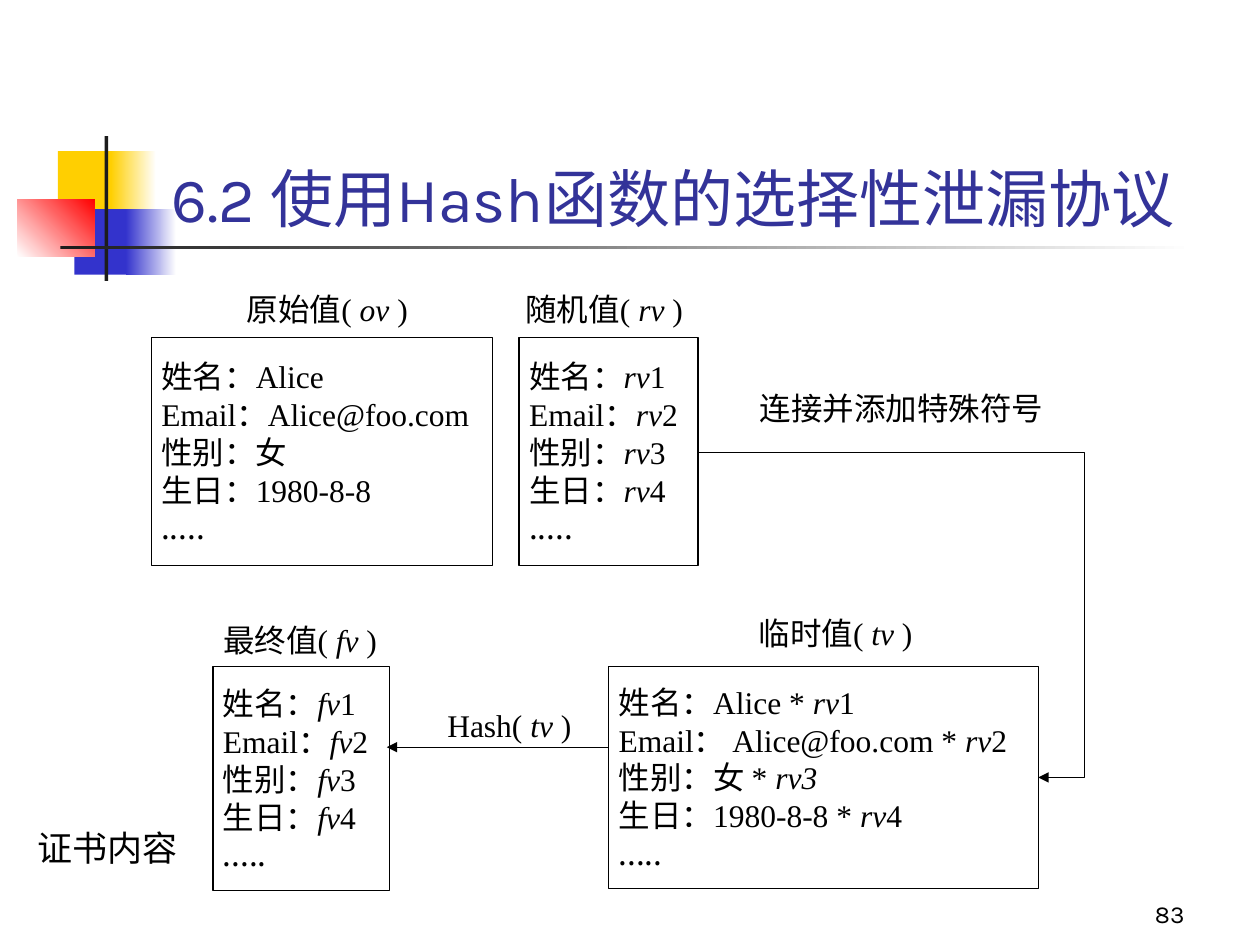
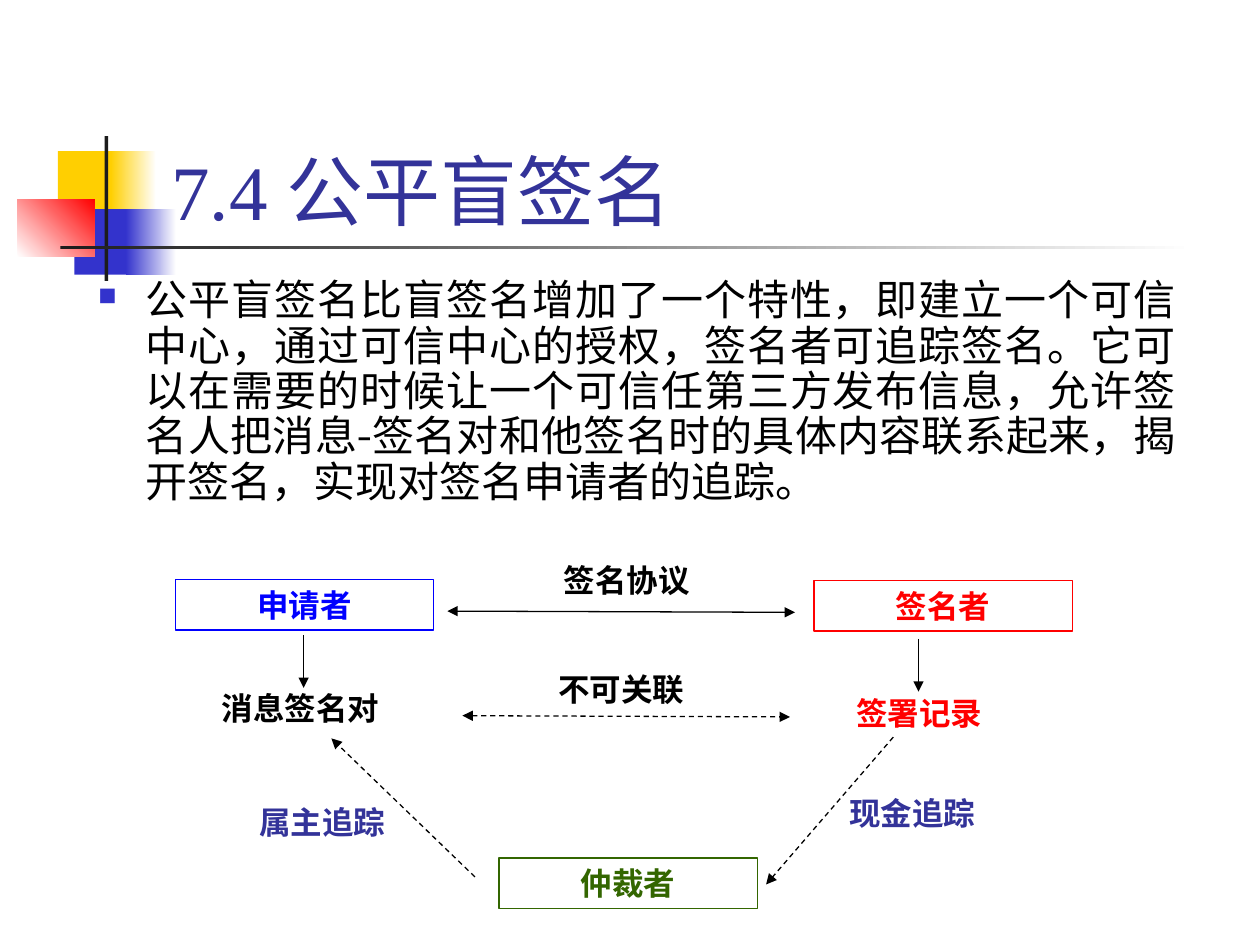
from dataclasses import dataclass

from lxml import etree
from pptx import Presentation
from pptx import util as u
from pptx.dml.color import RGBColor
from pptx.enum import dml, shapes, text
from pptx.oxml import ns


@dataclass(frozen=True)
class Theme:
    black: str = "000000"
    white: str = "FFFFFF"
    ink: str = "1C1C1C"
    title: str = "333399"
    yellow: str = "FFCF01"
    blue: str = "3333CC"
    red: str = "FF0000"
    applicant: str = "0000FF"
    arbiter: str = "336600"
    sans: str = "Karla"
    serif: str = "Times New Roman"
    plain: str = "Arial"
    chinese: str = "Noto Sans CJK SC"
    label_size: int = 18
    line_width: float = 0.75


THEME = Theme()
LEFT, CENTER, RIGHT, JUSTIFY = (
    text.PP_ALIGN.LEFT, text.PP_ALIGN.CENTER, text.PP_ALIGN.RIGHT, text.PP_ALIGN.JUSTIFY)
TOP, MIDDLE, BOTTOM = text.MSO_ANCHOR.TOP, text.MSO_ANCHOR.MIDDLE, text.MSO_ANCHOR.BOTTOM
TIGHT, NORMAL, NONE = (0.08, 0.04), (0.1, 0.05), (0, 0)
DOTS = "....."


def inches(*lengths):
    return [u.Inches(length) for length in lengths]


def add_xml(parent, tag, **attributes):
    names = {name: str(value) for name, value in attributes.items()}
    return etree.SubElement(parent, ns.qn(tag), names)


def write_text(shape, lines, *, font=THEME.serif, size=THEME.label_size, color=THEME.black,
               bold=False, align=LEFT, anchor=TOP, insets=TIGHT, wrap=False):
    """Fill a shape with a list of lines; underscores enclose italic parts."""
    frame = shape.text_frame
    frame.auto_size = text.MSO_AUTO_SIZE.NONE
    frame.word_wrap = wrap
    frame.vertical_anchor = anchor
    frame.margin_left = frame.margin_right = u.Inches(insets[0])
    frame.margin_top = frame.margin_bottom = u.Inches(insets[1])
    for index, line in enumerate(lines):
        paragraph = frame.add_paragraph() if index else frame.paragraphs[0]
        paragraph.alignment = align
        for part_index, part in enumerate(line.split("_")):
            if not part:
                continue
            run = paragraph.add_run()
            run.text = part
            run.font.size = u.Pt(size)
            run.font.bold = bold
            run.font.italic = part_index % 2 == 1
            run.font.color.rgb = RGBColor.from_string(color)
            run.font.name = THEME.chinese if line == DOTS else font
            add_xml(run._r.get_or_add_rPr(), "a:ea", typeface=THEME.chinese)


def add_label(slide, place, line, **style):
    label = slide.shapes.add_textbox(*inches(*place))
    write_text(label, [line], **style)
    return label


def add_rectangle(slide, place, fill=None, line=None):
    rectangle = slide.shapes.add_shape(shapes.MSO_SHAPE.RECTANGLE, *inches(*place))
    rectangle.shadow.inherit = False
    if fill:
        rectangle.fill.solid()
        rectangle.fill.fore_color.rgb = RGBColor.from_string(fill)
    else:
        rectangle.fill.background()
    if line:
        rectangle.line.color.rgb = RGBColor.from_string(line)
        rectangle.line.width = u.Pt(THEME.line_width)
    else:
        rectangle.line.fill.background()
    return rectangle


def add_fade(slide, place, start, end, angle=0):
    rectangle = add_rectangle(slide, place)
    rectangle.fill.gradient()
    rectangle.fill.gradient_angle = angle
    for stop, color in zip(rectangle.fill.gradient_stops, (start, end)):
        stop.color.rgb = RGBColor.from_string(color)
    return rectangle


def add_record(slide, place, lines):
    record = add_rectangle(slide, place, THEME.white, THEME.black)
    write_text(record, lines + [DOTS], anchor=MIDDLE)


def add_role(slide, place, name, color):
    role = add_rectangle(slide, place, line=color)
    write_text(role, [name], color=color, bold=True, align=CENTER, insets=NORMAL, wrap=True)


def add_arrow(slide, start, end, *, both=False, dashed=False, bend=None):
    """Draw an arrow; bend is the turning point as a share of the width."""
    kind = shapes.MSO_CONNECTOR.STRAIGHT if bend is None else shapes.MSO_CONNECTOR.ELBOW
    arrow = slide.shapes.add_connector(kind, *inches(*start, *end))
    arrow.line.color.rgb = RGBColor.from_string(THEME.black)
    arrow.line.width = u.Pt(THEME.line_width)
    if dashed:
        arrow.line.dash_style = dml.MSO_LINE.DASH
    properties = arrow.element.spPr
    outline = properties.find(ns.qn("a:ln"))
    if both:
        add_xml(outline, "a:headEnd", type="triangle")
    add_xml(outline, "a:tailEnd", type="triangle")
    add_xml(properties, "a:effectLst")
    if bend is not None:
        guides = properties.find(ns.qn("a:prstGeom")).find(ns.qn("a:avLst"))
        add_xml(guides, "a:gd", name="adj1", fmla=f"val {round(bend * 100000)}")


def decorate_layout(layout, slide):
    """Draw the shared ornament on a slide, then move it to the layout."""
    ornament = [
        add_rectangle(slide, (0.46, 1.2, 0.48, 0.52), THEME.yellow),
        add_fade(slide, (0.88, 1.2, 0.36, 0.52), THEME.yellow, THEME.white),
        add_rectangle(slide, (0.59, 1.66, 0.46, 0.52), THEME.blue),
        add_fade(slide, (1, 1.66, 0.4, 0.52), THEME.blue, THEME.white),
        add_fade(slide, (0.14, 1.58, 0.61, 0.46), THEME.white, THEME.red, angle=45),
        add_rectangle(slide, (0.83, 1.08, 0.03, 1.15), THEME.ink),
        add_fade(slide, (0.48, 1.95, 9, 0.03), THEME.ink, THEME.white),
    ]
    for number, shape in enumerate(ornament, start=101):
        shape.element.xpath(".//p:cNvPr")[0].set("id", str(number))
        layout.shapes.element.append(shape.element)


def set_title(slide, line, **style):
    title = slide.shapes.title
    title.left, title.top, title.width, title.height = inches(1.26, 0.67, 8.52, 1.25)
    write_text(title, [line], color=THEME.title, anchor=BOTTOM, insets=NORMAL, wrap=True, **style)


def add_bullet_text(slide, place, line):
    box = slide.shapes.add_textbox(*inches(*place))
    paragraph = box.text_frame.paragraphs[0]
    properties = paragraph._p.get_or_add_pPr()
    indent = u.Inches(0.38)
    properties.set("marL", str(indent))
    properties.set("indent", str(-indent))
    add_xml(add_xml(properties, "a:buClr"), "a:srgbClr", val=THEME.blue)
    add_xml(properties, "a:buSzPct", val=60000)
    add_xml(properties, "a:buChar", char="■")
    paragraph.line_spacing = 0.9
    write_text(box, [line], font=THEME.sans, size=24, align=JUSTIFY, insets=NORMAL, wrap=True)


def build_disclosure_slide(slide):
    set_title(slide, "6.2 使用Hash函数的选择性泄漏协议", font=THEME.sans, size=36)
    add_label(slide, (7.42, 6.92, 2.08, 0.5), "83", font=THEME.sans, size=14,
              align=RIGHT, anchor=BOTTOM, insets=NORMAL, wrap=True)

    fields = ["姓名：", "Email：", "性别：", "生日："]
    originals = ["Alice", "Alice@foo.com", "女", "1980-8-8"]

    def numbered(symbol):
        return [f"{field}_{symbol}_{number}" for number, field in enumerate(fields, start=1)]

    add_record(slide, (1.2, 2.68, 2.71, 1.81),
               [field + value for field, value in zip(fields, originals)])
    add_record(slide, (4.12, 2.68, 1.42, 1.81), numbered("rv"))
    add_record(slide, (4.83, 5.29, 3.41, 1.76), [
        "姓名：Alice * _rv_1",
        "Email： Alice@foo.com * _rv_2",
        "性别：女 * _rv3_",
        "生日：1980-8-8 * _rv_4",
    ])
    add_record(slide, (1.69, 5.29, 1.4, 1.78), numbered("fv"))

    for place, line in [
        ((1.88, 2.26, 1.5, 0.48), "原始值( _ov _)"),
        ((4.09, 2.26, 1.48, 0.48), "随机值( _rv_ )"),
        ((5.94, 4.83, 1.45, 0.41), "临时值( _tv _)"),
        ((1.69, 4.89, 1.45, 0.35), "最终值( _fv_ )"),
        ((3.47, 5.56, 1.22, 0.4), "Hash( _tv _)"),
    ]:
        add_label(slide, place, line)
    add_label(slide, (5.95, 3.05, 2.42, 0.38), "连接并添加特殊符号", font=THEME.plain)
    add_label(slide, (0.2, 6.51, 1.31, 0.44), "证书内容", font=THEME.sans, size=20, insets=NORMAL)

    add_arrow(slide, (5.55, 3.59), (8.24, 6.17), bend=1.137)
    add_arrow(slide, (4.83, 5.93), (3.07, 5.93))


def build_blind_signature_slide(slide):
    set_title(slide, "7.4 公平盲签名", size=44)
    add_bullet_text(slide, (0.68, 2.17, 8.75, 2.32), (
        "公平盲签名比盲签名增加了一个特性，即建立一个可信中心，通过可信中心的授权，"
        "签名者可追踪签名。它可以在需要的时候让一个可信任第三方发布信息，"
        "允许签名人把消息-签名对和他签名时的具体内容联系起来，揭开签名，"
        "实现对签名申请者的追踪。"))

    for left, top, name, color in [
        (1.39, 4.6, "申请者", THEME.applicant),
        (3.96, 6.81, "仲裁者", THEME.arbiter),
        (6.46, 4.61, "签名者", THEME.red),
    ]:
        add_role(slide, (left, top, 2.05, 0.4), name, color)

    for place, line, font, color in [
        ((0.68, 5.42, 3.47, 0.4), "消息签名对 ", THEME.sans, THEME.black),
        ((5.56, 5.46, 3.47, 0.4), "签署记录", THEME.serif, THEME.red),
        ((3.83, 5.27, 2.2, 0.4), "不可关联", THEME.serif, THEME.black),
        ((3.87, 4.4, 2.21, 0.4), "签名协议", THEME.serif, THEME.black),
    ]:
        add_label(slide, place, line, font=font, color=color, bold=True,
                  align=CENTER, insets=NORMAL, wrap=True)
    for place, line in [
        ((2.06, 6.37, 2.74, 0.6), "属主追踪"),
        ((6.74, 6.3, 3.14, 0.3), "现金追踪"),
    ]:
        add_label(slide, place, line, font=THEME.plain, color=THEME.title, bold=True,
                  insets=NONE, wrap=True)

    add_arrow(slide, (3.55, 4.85), (6.31, 4.86), both=True)
    add_arrow(slide, (3.67, 5.68), (6.27, 5.69), both=True, dashed=True)
    add_arrow(slide, (2.41, 5.04), (2.41, 5.46))
    add_arrow(slide, (7.29, 5.07), (7.29, 5.49))
    add_arrow(slide, (3.77, 6.96), (2.63, 5.86), dashed=True)
    add_arrow(slide, (7.09, 5.85), (6.08, 7.02), dashed=True)


def main():
    presentation = Presentation()
    presentation.slide_width, presentation.slide_height = inches(10, 7.5)
    layout = presentation.slide_layouts.get_by_name("Title Only")
    disclosure, blind_signature = [presentation.slides.add_slide(layout) for _ in range(2)]
    decorate_layout(layout, disclosure)
    build_disclosure_slide(disclosure)
    build_blind_signature_slide(blind_signature)
    presentation.save("out.pptx")


if __name__ == "__main__":
    main()
